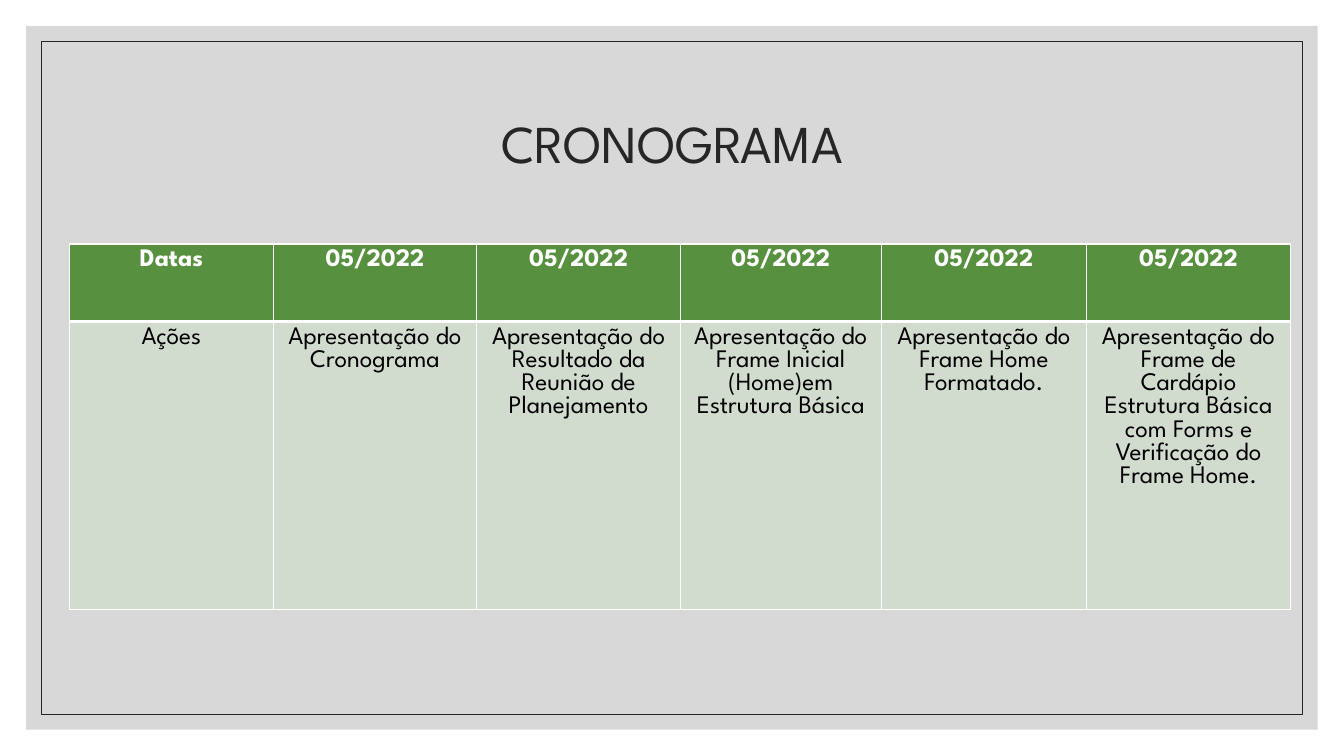
from lxml import etree
from pptx import Presentation, util as u
from pptx.dml.color import RGBColor
from pptx.enum import shapes, text
from pptx.oxml.ns import qn

HUES = {"pane": "BFBFBF", "ink": "262626", "head": "57903F",
        "body": "D1DBCE", "white": "FFFFFF", "black": "000000"}
FONT = "League Spartan"
WIDE, HIGH = 13.33, 7.5
ROWS = [
    ["Datas"] + ["05/2022"] * 5,
    ["Ações",
     "Apresentação do Cronograma",
     "Apresentação do Resultado da Reunião de Planejamento",
     "Apresentação do Frame Inicial (Home)em Estrutura Básica",
     "Apresentação do Frame Home Formatado.",
     "Apresentação do Frame de Cardápio Estrutura Básica com Forms e Verificação do Frame Home."],
]
COLS = [2.02, 2.02, 2.02, 1.99, 2.04, 2.02]
TALL = [0.77, 2.86]


def style(frame, size, hue, bold=False):
    for para in frame.paragraphs:
        para.alignment = text.PP_ALIGN.CENTER
        for run in para.runs:
            run.font.name = FONT
            run.font.size = u.Pt(size)
            run.font.bold = bold
            run.font.color.rgb = RGBColor.from_string(HUES[hue])


def edge(cell, sides):
    props = cell._tc.get_or_add_tcPr()
    for spot, (side, width) in enumerate(sides.items()):
        line = etree.Element(qn("a:ln" + side), w=str(u.Pt(width)))
        fill = etree.SubElement(line, qn("a:solidFill"))
        etree.SubElement(fill, qn("a:srgbClr"), val=HUES["white"])
        props.insert(spot, line)


deck = Presentation()
deck.slide_width, deck.slide_height = u.Inches(WIDE), u.Inches(HIGH)
slide = deck.slides.add_slide(deck.slide_layouts[6])

panes = []
for gap in (0.26, 0.41):
    pane = slide.shapes.add_shape(
        shapes.MSO_SHAPE.RECTANGLE, u.Inches(gap), u.Inches(gap),
        u.Inches(WIDE - 2 * gap), u.Inches(HIGH - 2 * gap))
    pane.shadow.inherit = False
    panes.append(pane)
back, rim = panes
back.fill.solid()
back.fill.fore_color.rgb = RGBColor.from_string(HUES["pane"])
tint = back._element.spPr.find(".//" + qn("a:srgbClr"))
etree.SubElement(tint, qn("a:alpha"), val="60000")
back.line.fill.background()
rim.fill.background()
rim.line.color.rgb = RGBColor.from_string(HUES["ink"])
rim.line.width = u.Pt(0.5)

title = slide.shapes.add_textbox(
    u.Inches((WIDE - 11) / 2), u.Inches(0.7), u.Inches(11), u.Inches(1.5))
frame = title.text_frame
frame.word_wrap = True
frame.vertical_anchor = text.MSO_ANCHOR.MIDDLE
frame.text = "CRONOGRAMA"
frame.paragraphs[0].line_spacing = 0.9
style(frame, 38, "ink")

grid = slide.shapes.add_table(
    len(ROWS), len(COLS), u.Inches(0.69), u.Inches(2.42),
    u.Inches(sum(COLS)), u.Inches(sum(TALL))).table
for col, width in zip(grid.columns, COLS):
    col.width = u.Inches(width)
for r, words in enumerate(ROWS):
    grid.rows[r].height = u.Inches(TALL[r])
    first = r == 0
    for c, word in enumerate(words):
        cell = grid.cell(r, c)
        cell.text_frame.text = word
        style(cell.text_frame, 18, "white" if first else "black", first)
        cell.fill.solid()
        cell.fill.fore_color.rgb = RGBColor.from_string(HUES["head" if first else "body"])
        edge(cell, {"L": 0.96, "R": 0.96,
                    "T": 0.96 if first else 3, "B": 3 if first else 0.96})

deck.save("out.pptx")
